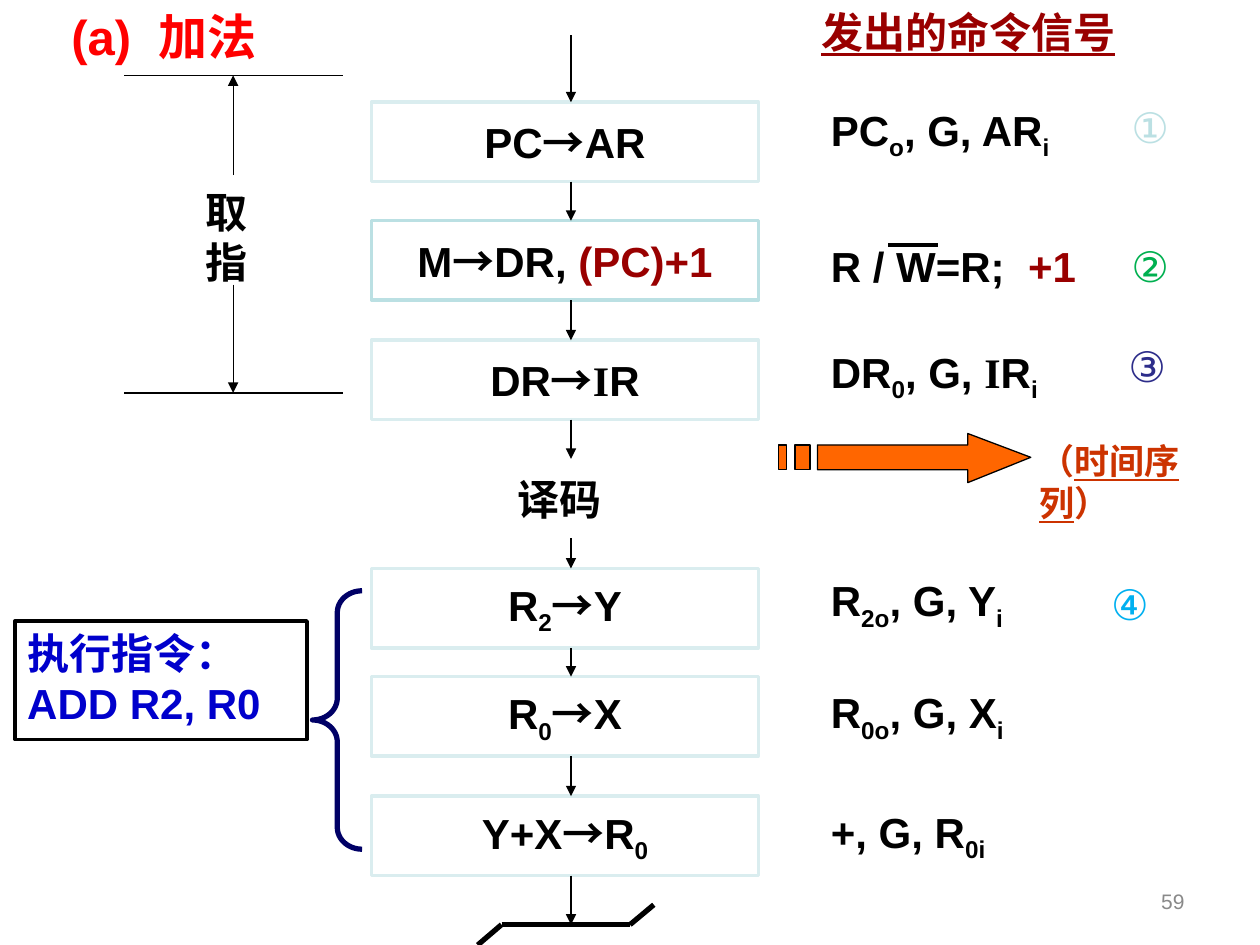
from itertools import groupby

from lxml import etree
from pptx import Presentation
from pptx.dml.color import RGBColor
from pptx.enum.shapes import MSO_CONNECTOR, MSO_SHAPE
from pptx.enum.text import MSO_ANCHOR, PP_ALIGN
from pptx.oxml.ns import qn
from pptx.util import Cm, Pt

RECT = MSO_SHAPE.RECTANGLE
GEM = MSO_SHAPE.FLOWCHART_DECISION
BRACE = MSO_SHAPE.LEFT_BRACE
LINE = MSO_CONNECTOR.STRAIGHT
TOP, MID = MSO_ANCHOR.TOP, MSO_ANCHOR.MIDDLE
LEFT, MIDDLE, RIGHT = PP_ALIGN.LEFT, PP_ALIGN.CENTER, PP_ALIGN.RIGHT

BLACK = RGBColor(0x00, 0x00, 0x00)
WHITE = RGBColor(0xFF, 0xFF, 0xFF)
RED = RGBColor(0xFF, 0x00, 0x00)
DARK_RED = RGBColor(0x99, 0x00, 0x00)
RUST = RGBColor(0xCC, 0x33, 0x00)
ORANGE = RGBColor(0xFF, 0x66, 0x00)
BLUE = RGBColor(0x00, 0x00, 0xCC)
NAVY = RGBColor(0x00, 0x00, 0x66)
INDIGO = RGBColor(0x2D, 0x2D, 0x8A)
SKY = RGBColor(0x00, 0xB0, 0xF0)
GREEN = RGBColor(0x00, 0xB0, 0x50)
TEAL = RGBColor(0xBB, 0xE0, 0xE3)
PALE = RGBColor(0xDA, 0xED, 0xEF)
GRAY = RGBColor(0x89, 0x89, 0x89)

SANS, CJK = "Arial", "Noto Sans CJK SC"
FONTS = {"→": CJK, "I": "Times New Roman"}
SUB, ACCENT, UNDER = "_", "|", "~"  # marks that switch a style on or off

# Flow column: text, top, outline colour
BOX_X, BOX_W, BOX_H = 7.49, 7.8, 1.6
FLOW_X, FLOW_END = 11.51, 18.64
STEPS = [
    ("PC→AR", 2.06, PALE),
    ("M→DR, |(PC)+1", 4.45, TEAL),
    ("DR→IR", 6.86, PALE),
    ("译码", 9.25, WHITE),
    ("R_2_→Y", 11.46, PALE),
    ("R_0_→X", 13.64, PALE),
    ("Y+X→R_0", 16.05, PALE),
]
# Command signals: text, top
SIGNALS = [
    ("PC_o_, G, AR_i", 1.98),
    ("R / W=R;  |+1", 4.72),
    ("DR_0_, G, IR_i", 6.86),
    ("R_2o_, G, Y_i", 11.46),
    ("R_0o_, G, X_i", 13.72),
    ("+, G, R_0i", 16.13),
]
# Beat numbers: text, left, top, colour
BEATS = [
    ("①", 22.56, 1.93, TEAL),
    ("②", 22.56, 4.72, GREEN),
    ("③", 22.5, 6.73, INDIGO),
    ("④", 22.15, 11.53, SKY),
]


def write(shape, text, size=24, color=BLACK, bold=True,
          align=LEFT, anchor=TOP, wrap=True):
    frame = shape.text_frame
    frame.word_wrap = wrap
    frame.vertical_anchor = anchor
    para = frame.paragraphs[0]
    para.alignment = align
    marks, chars = frozenset(), []
    for char in text:
        if char in (SUB, ACCENT, UNDER):
            marks = marks ^ {char}
        else:
            chars.append((char, FONTS.get(char, SANS), marks))
    for (face, style), group in groupby(chars, key=lambda item: item[1:]):
        run = para.add_run()
        run.text = "".join(item[0] for item in group)
        font = run.font
        font.name, font.size, font.bold = face, Pt(size), bold
        font.color.rgb = DARK_RED if ACCENT in style else color
        if UNDER in style:
            font.underline = True
        props = run._r.get_or_add_rPr()
        if SUB in style:
            props.set("baseline", "-25000")
        etree.SubElement(props, qn("a:ea")).set("typeface", CJK)


def add_text(slide, text, x, y, w, h, **style):
    box = slide.shapes.add_textbox(Cm(x), Cm(y), Cm(w), Cm(h))
    write(box, text, **style)


def paint(shape, fill, line, width):
    shape.shadow.inherit = False
    if fill is None:
        shape.fill.background()
    else:
        shape.fill.solid()
        shape.fill.fore_color.rgb = fill
    shape.line.color.rgb = line
    shape.line.width = Pt(width)


def add_box(slide, kind, x, y, w, h, fill, line, width=2):
    shape = slide.shapes.add_shape(kind, Cm(x), Cm(y), Cm(w), Cm(h))
    paint(shape, fill, line, width)
    return shape


def add_line(slide, x1, y1, x2, y2, width=0.75, arrow=False):
    line = slide.shapes.add_connector(LINE, Cm(x1), Cm(y1), Cm(x2), Cm(y2))
    line.line.color.rgb = BLACK
    line.line.width = Pt(width)
    if arrow:
        tail = etree.SubElement(line.line._get_or_add_ln(), qn("a:tailEnd"))
        tail.set("type", "triangle")
    etree.SubElement(line._element.spPr, qn("a:effectLst"))


def add_flow(slide):
    for text, top, color in STEPS:
        kind, wide = (GEM, 7.57) if color == WHITE else (RECT, BOX_W)
        box = add_box(slide, kind, BOX_X, top, wide, BOX_H, WHITE, color)
        write(box, text, align=MIDDLE, anchor=MID, wrap=False)
    # Bent line that ends the flow
    bend = [(9.63, 19.05), (10.11, FLOW_END), (12.7, FLOW_END), (13.18, 18.24)]
    for start, end in zip(bend, bend[1:]):
        add_line(slide, *start, *end, width=3)
    # Arrows between the steps
    tops = [top for _, top, _ in STEPS]
    starts = [0.71] + [top + BOX_H for top in tops]
    for start, end in zip(starts, tops + [FLOW_END]):
        add_line(slide, FLOW_X, start, FLOW_X, end, arrow=True)


def add_fetch(slide):
    for edge, start in ((1.52, 3.53), (7.92, 5.74)):
        add_line(slide, 6.91, edge, 2.49, edge)
        add_line(slide, 4.7, start, 4.7, edge, arrow=True)
    add_text(slide, "取指", 3.89, 3.63, 1.6, 2.29)


def add_time(slide):
    add_text(slide, "（~时间序列~）", 20.7, 8.74, 4.7, 1.96,
             size=20, color=RUST)
    high, low = 8.97, 9.47
    head = [(19.51, 8.74), (19.51, high), (16.48, high), (16.48, low),
            (19.51, low), (19.51, 9.73), (20.78, 9.22)]
    bars = [[(x, high), (x, low), (x + w, low), (x + w, high)]
            for x, w in ((16.03, 0.3), (15.7, 0.15))]
    form = slide.shapes.build_freeform(Cm(head[0][0]), Cm(head[0][1]))
    for index, path in enumerate([head] + bars):
        points = [(Cm(x), Cm(y)) for x, y in path]
        if index:
            form.move_to(*points[0])
        form.add_line_segments(points[1:], close=True)
    paint(form.convert_to_shape(), ORANGE, BLACK, 0.75)


def main():
    deck = Presentation()
    deck.slide_width, deck.slide_height = Cm(25.4), Cm(19.05)
    slide = deck.slides.add_slide(deck.slide_layouts[6])

    # Headings
    add_text(slide, "(a)  加法", 1.19, 0, 6.71, 1.45, size=28, color=RED)
    add_text(slide, "~发出的命令信号", 16.31, 0, 6.6, 1.27, color=DARK_RED)

    # Flow chart and fetch span
    add_flow(slide)
    add_fetch(slide)

    # Command signals, with the bar over W
    for text, top in SIGNALS:
        add_text(slide, text, 16.5, top, 6.81, 1.42)
    add_line(slide, 17.91, 4.93, 18.9, 4.93, width=2.25)
    for text, left, top, color in BEATS:
        add_text(slide, text, left, top, 1.3, 1.27,
                 color=color, bold=False, wrap=False)
    add_time(slide)

    # Execute phase
    brace = add_box(slide, BRACE, 6.3, 11.91, 1, 5.21, None, NAVY, 3)
    brace.adjustments[0] = 0.44
    note = add_box(slide, RECT, 0.3, 12.52, 5.89, 2.39, WHITE, BLACK)
    write(note, "执行指令：ADD R2, R0", color=BLUE)

    # Page number
    add_text(slide, "59", 18.21, 17.65, 5.92, 1.02, size=12, color=GRAY,
             bold=False, align=RIGHT, anchor=MID)
    deck.save("out.pptx")


if __name__ == "__main__":
    main()
